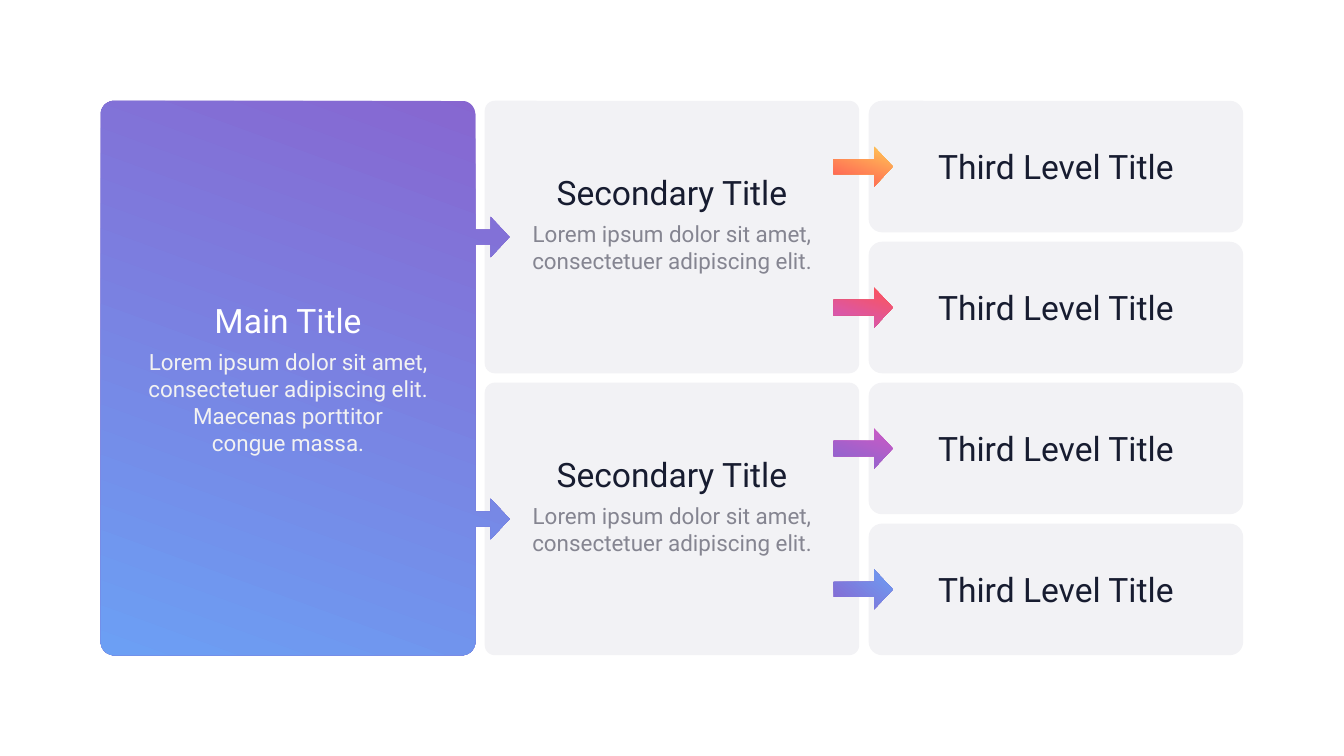
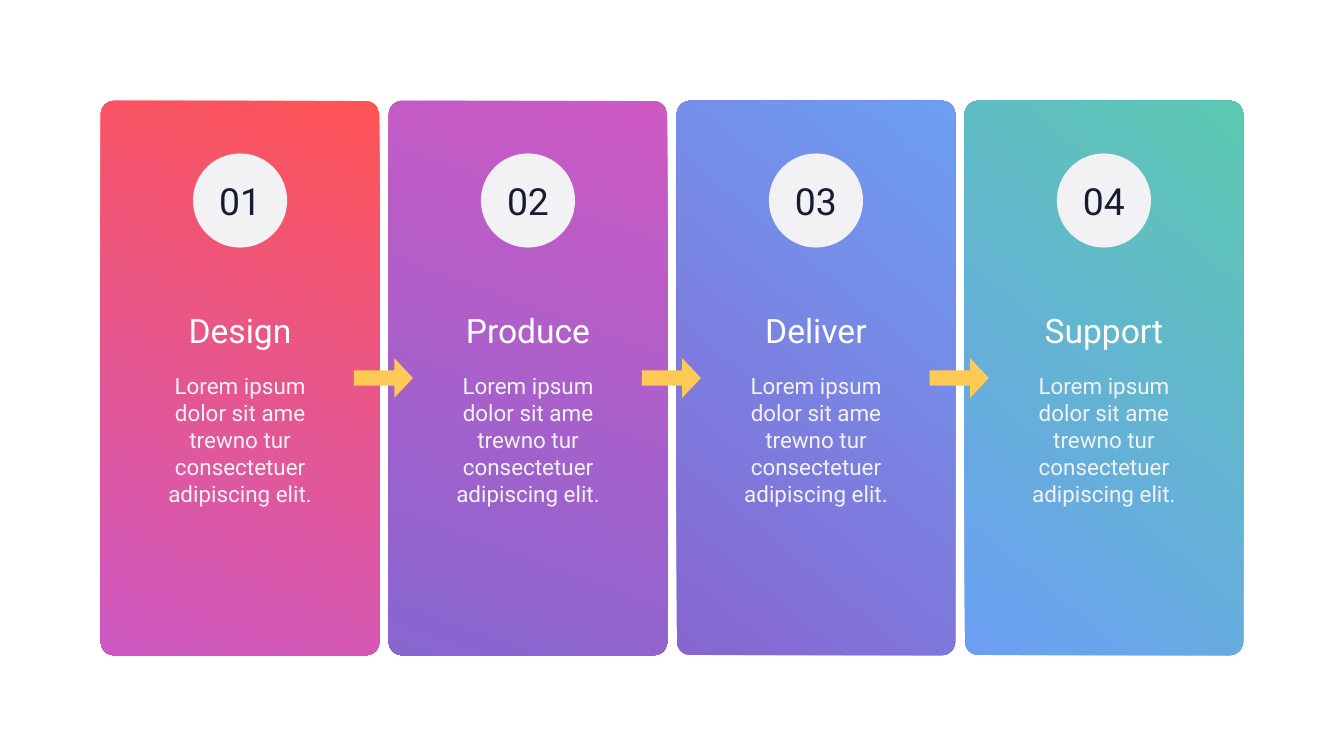
from collections import namedtuple
from math import cos, radians, sin

from pptx import Presentation
from pptx.dml.color import RGBColor
from pptx.enum.shapes import MSO_SHAPE as Shape
from pptx.enum.text import MSO_ANCHOR as Anchor, MSO_AUTO_SIZE as AutoSize, PP_ALIGN as Align
from pptx.util import Inches, Pt

COLORS = {
    "white": "FFFFFF", "pale": "F2F2F5", "soft": "F2F2F2", "ink": "171C30", "grey": "858591",
    "yellow": "FFC955", "red": "FF5355", "pink": "CE59C4",
    "violet": "8766D0", "blue": "6C9FF4", "green": "5BC9B0",
}
# Gradients: first colour, last colour, counter-clockwise angle
DOWN, UP = 250, 50
SUNSET = ("yellow", "red", DOWN)
BERRY = ("red", "pink", DOWN)
ORCHID = ("pink", "violet", DOWN)
DUSK = ("violet", "blue", DOWN)
DAWN = ("violet", "blue", UP)
SEA = ("blue", "green", UP)

FONTS = {
    "heading": {"name": "Roboto", "size": Pt(36)},
    "body": {"name": "Roboto", "size": Pt(24)},
    "number": {"name": "Roboto", "size": Pt(40)},
}
LEADING = 1.22
MARGIN, GAP, CORNER = 1.5, 0.14, 0.2
ARROW_WIDTH, ARROW_HEIGHT, ARROW_OVERLAP = 0.88, 0.59, 0.52

Area = namedtuple("Area", "left top width height")


class SlideKit:
    """Holds the deck, its style and the slide being drawn."""

    def __init__(self, width, height):
        self.deck = Presentation()
        self.deck.slide_width, self.deck.slide_height = Inches(width), Inches(height)
        self.width, self.height = width, height
        self.page = None

    def new_page(self, layout):
        self.page = self.deck.slides.add_slide(self.deck.slide_layouts.get_by_name(layout))

    def cell(self, column, columns, row=0, rows=1):
        """Area of one cell in an evenly spaced grid inside the margins."""
        width = (self.width - 2 * MARGIN - (columns - 1) * GAP) / columns
        height = (self.height - 2 * MARGIN - (rows - 1) * GAP) / rows
        return Area(MARGIN + column * (width + GAP), MARGIN + row * (height + GAP), width, height)

    def paint(self, shape, fill):
        """Fill with a colour name or a gradient, without line or shadow."""
        shape.shadow.inherit = False
        shape.line.fill.background()
        if isinstance(fill, str):
            shape.fill.solid()
            shape.fill.fore_color.rgb = RGBColor.from_string(COLORS[fill])
            return
        *names, angle = fill
        shape.fill.gradient()
        shape.fill.gradient_angle = angle
        for stop, name in zip(shape.fill.gradient_stops, names):
            stop.color.rgb = RGBColor.from_string(COLORS[name])

    def shape(self, kind, area, fill, adjustments=()):
        shape = self.page.shapes.add_shape(kind, *map(Inches, area))
        for index, value in enumerate(adjustments):
            shape.adjustments[index] = value
        self.paint(shape, fill)
        return shape

    def card(self, area, fill, radius=CORNER):
        self.shape(Shape.ROUNDED_RECTANGLE, area, fill, [radius / min(area.width, area.height)])

    def arrow_into(self, cell, fill):
        """Arrow across the gap to the left of a cell, at its middle height."""
        top = cell.top + (cell.height - ARROW_HEIGHT) / 2
        area = Area(cell.left - ARROW_OVERLAP, top, ARROW_WIDTH, ARROW_HEIGHT)
        self.shape(Shape.RIGHT_ARROW, area, fill, [0.38, 0.47])

    def panel_with_arrows(self, area, targets, fill):
        """Rounded panel whose right edge points at the middle of each target."""
        right, bottom = area.left + area.width, area.top + area.height

        def corner(x, y, start):
            turns = [radians(start + step * 10) for step in range(10)]
            return [(x + CORNER * cos(turn), y + CORNER * sin(turn)) for turn in turns]

        inner_left, inner_right = area.left + CORNER, right - CORNER
        inner_top, inner_bottom = area.top + CORNER, bottom - CORNER
        points = corner(inner_left, inner_top, 180) + corner(inner_right, inner_top, 270)
        for target in targets:
            middle = target.top + target.height / 2
            profile = [(0, -0.11), (0.23, -0.11), (0.23, -0.3), (0.51, 0),
                       (0.23, 0.3), (0.23, 0.11), (0, 0.11)]
            points += [(right + x, middle + y) for x, y in profile]
        points += corner(inner_right, inner_bottom, 0) + corner(inner_left, inner_bottom, 90)

        start, *others = [(Inches(x), Inches(y)) for x, y in points]
        outline = self.page.shapes.build_freeform(*start)
        outline.add_line_segments(others, close=True)
        self.paint(outline.convert_to_shape(), fill)

    def set_text(self, shape, lines, style, color, anchor=Anchor.TOP):
        frame = shape.text_frame
        frame.word_wrap, frame.vertical_anchor = True, anchor
        for index, line in enumerate(lines):
            para = frame.paragraphs[0] if index == 0 else frame.add_paragraph()
            para.alignment = Align.CENTER
            span = para.add_run()
            span.text = line
            for name, value in FONTS[style].items():
                setattr(span.font, name, value)
            span.font.color.rgb = RGBColor.from_string(COLORS[color])

    def text(self, cell, top, width, lines, style, color, rows=1, title=False):
        """Text centred in a cell; top and width are percentages of the cell."""
        box_width = cell.width * width / 100
        box_height = 0.1 + rows * FONTS[style]["size"].inches * LEADING
        area = Area(cell.left + (cell.width - box_width) / 2,
                    cell.top + cell.height * top / 100, box_width, box_height)
        if title:
            box = self.page.shapes.title
            box.left, box.top, box.width, box.height = map(Inches, area)
            box.element.getparent().append(box.element)  # bring to front
        else:
            box = self.page.shapes.add_textbox(*map(Inches, area))
        self.set_text(box, lines, style, color)
        box.text_frame.auto_size = AutoSize.SHAPE_TO_FIT_TEXT

    def badge(self, cell, top, size, label):
        area = Area(cell.left + (cell.width - size) / 2, cell.top + cell.height * top / 100, size, size)
        circle = self.shape(Shape.OVAL, area, "pale")
        self.set_text(circle, [label], "number", "ink", Anchor.MIDDLE)


def build_hierarchy(kit):
    kit.new_page("Title Only")
    main_cell = kit.cell(0, 3)
    seconds = [kit.cell(1, 3, row, 2) for row in range(2)]
    thirds = [kit.cell(2, 3, row, 4) for row in range(4)]

    # Cards and main panel
    for third in thirds:
        kit.card(third, "pale")
    for second in seconds:
        kit.card(second, "pale", 0.15)
    kit.panel_with_arrows(main_cell, seconds, DUSK)

    # Texts of the three levels
    lorem = "Lorem ipsum dolor sit amet, consectetuer adipiscing elit."
    kit.text(main_cell, 35.3, 83.4, ["Main Title"], "heading", "white", title=True)
    kit.text(main_cell, 44, 83.4, [lorem + " Maecenas porttitor", "congue massa."],
             "body", "soft", rows=4)
    for second in seconds:
        kit.text(second, 25, 78.2, ["Secondary Title"], "heading", "ink")
        kit.text(second, 42.7, 78.2, [lorem], "body", "grey", rows=2)
    for third, fill in zip(thirds, [SUNSET, BERRY, ORCHID, DAWN]):
        kit.text(third, 31.8, 84.5, ["Third Level Title"], "heading", "ink")
        kit.arrow_into(third, fill)


def build_process(kit):
    kit.new_page("Blank")
    steps = {"Design": BERRY, "Produce": ORCHID, "Deliver": DAWN, "Support": SEA}
    cells = [kit.cell(column, len(steps)) for column in range(len(steps))]

    # Step cards
    lorem = "Lorem ipsum dolor sit ame trewno tur consectetuer adipiscing elit."
    for number, (cell, (name, fill)) in enumerate(zip(cells, steps.items()), 1):
        kit.card(cell, fill)
        kit.badge(cell, 9.5, 1.4, f"{number:02}")
        kit.text(cell, 37.1, 77.7, [name], "heading", "white")
        kit.text(cell, 48.4, 70.2, [lorem], "body", "soft", rows=4)

    # Arrows between neighbours
    for cell in cells[1:]:
        kit.arrow_into(cell, "yellow")


def main():
    kit = SlideKit(20, 11.25)
    build_hierarchy(kit)
    build_process(kit)
    kit.deck.save("out.pptx")


if __name__ == "__main__":
    main()
